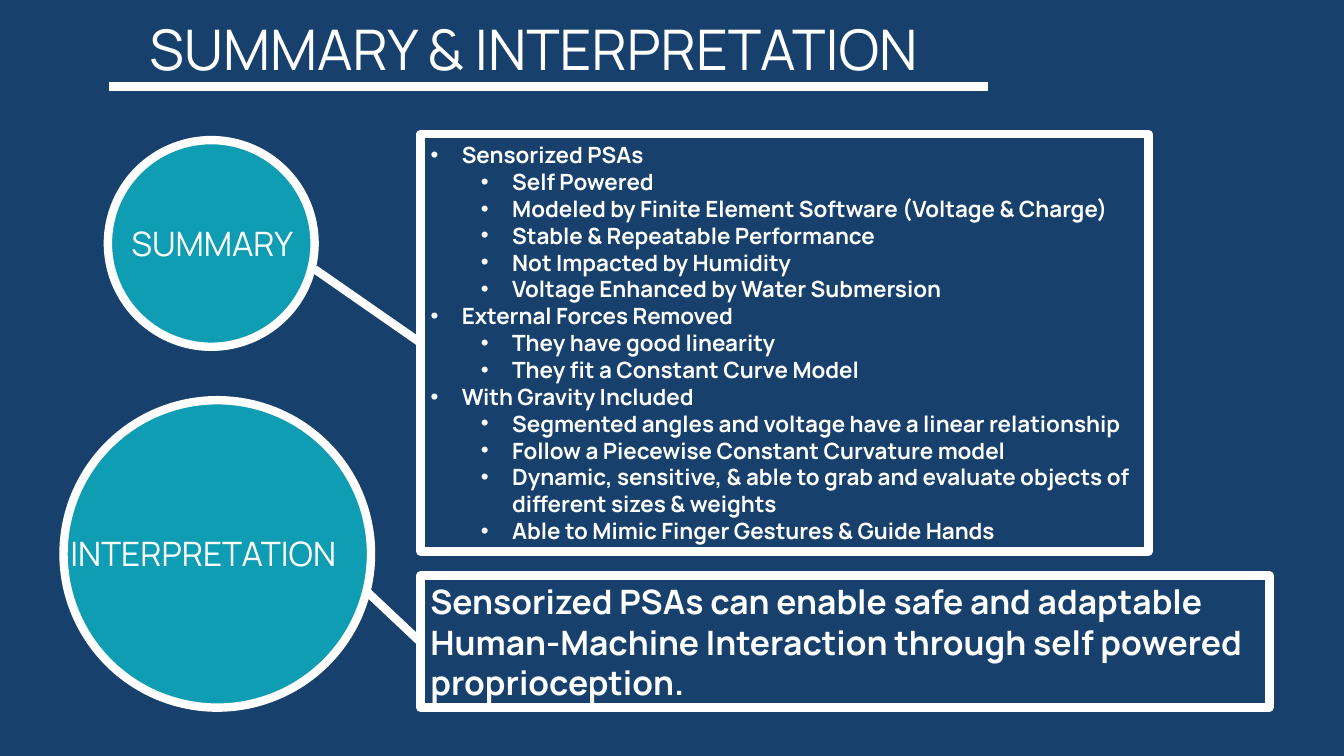
from lxml import etree
from pptx import Presentation
from pptx.dml.color import RGBColor
from pptx.enum import shapes, text
from pptx.oxml import ns
from pptx.util import Inches, Pt

NAVY = RGBColor(0x17, 0x40, 0x6D)
AQUA = RGBColor(0x0B, 0xD0, 0xD9)
WHITE = RGBColor(0xFF, 0xFF, 0xFF)
FONT = "Manrope"
LEFT, CENTER = text.PP_ALIGN.LEFT, text.PP_ALIGN.CENTER

TITLE = "SUMMARY & INTERPRETATION"
SUMMARY = [
    ("Sensorized PSAs", [
        "Self Powered",
        "Modeled by Finite Element Software (Voltage & Charge)",
        "Stable & Repeatable Performance",
        "Not Impacted by Humidity",
        "Voltage Enhanced by Water Submersion",
    ]),
    ("External Forces Removed", [
        "They have good linearity",
        "They fit a Constant Curve Model",
    ]),
    ("With Gravity Included", [
        "Segmented angles and voltage have a linear relationship",
        "Follow a Piecewise Constant Curvature model",
        "Dynamic, sensitive, & able to grab and evaluate objects of "
        "different sizes & weights",
        "Able to Mimic Finger Gestures & Guide Hands",
    ]),
]
INTERPRETATION = ("Sensorized PSAs can enable safe and adaptable Human-Machine "
                  "Interaction through self powered proprioception.")

TITLE_BOX = (0.97, 0.09, 8.64, 0.77)
SUMMARY_BOX = (4.17, 1.33, 7.22, 4.14)
INTERPRETATION_BOX = (4.17, 5.71, 8.42, 1.31)
CIRCLES = [
    ("SUMMARY", (1.07, 1.39, 2.05, 2.05), (1.08, 2.16, 2.05, 0.5), CENTER),
    ("INTERPRETATION", (0.63, 3.97, 3.05, 3.05), (0.6, 5.24, 3.13, 0.5), LEFT),
]
LINES = [
    (9.8, 0.86, 1.08, 0.86),
    (4.17, 3.4, 3.12, 2.67),
    (4.17, 6.37, 3.65, 5.88),
]
BULLET_INDENT = 0.31
LEVEL_STEP = 0.5


def inches(values):
    return [Inches(v) for v in values]


def place(sp, box):
    sp.left, sp.top, sp.width, sp.height = inches(box)


def outline(sp):
    sp.line.color.rgb = WHITE
    sp.line.width = Pt(6)


def setup_frame(tf, anchor=text.MSO_ANCHOR.MIDDLE):
    tf.word_wrap = True
    tf.auto_size = text.MSO_AUTO_SIZE.NONE
    tf.vertical_anchor = anchor


def write(p, content, size=24, bold=False, align=LEFT, bullet_level=None):
    p.alignment = align
    p.space_before = Pt(0)
    if bullet_level is not None:
        p.level = bullet_level
        pPr = p._p.get_or_add_pPr()
        pPr.set("marL", str(Inches(BULLET_INDENT + LEVEL_STEP * bullet_level)))
        pPr.set("indent", str(-Inches(BULLET_INDENT)))
        etree.SubElement(pPr, ns.qn("a:buFont")).set("typeface", "Arial")
        etree.SubElement(pPr, ns.qn("a:buChar")).set("char", "•")
    r = p.add_run()
    r.text = content
    r.font.name = FONT
    r.font.size = Pt(size)
    r.font.bold = bold
    r.font.color.rgb = WHITE


def add_title(s):
    sp = s.shapes.title
    place(sp, TITLE_BOX)
    setup_frame(sp.text_frame)
    write(sp.text_frame.paragraphs[0], TITLE, size=40, align=CENTER)


def add_summary(s):
    sp = s.placeholders[1]
    place(sp, SUMMARY_BOX)
    outline(sp)
    tf = sp.text_frame
    setup_frame(tf)
    items = []
    for heading, points in SUMMARY:
        items += [(heading, 0)] + [(point, 1) for point in points]
    for i, (item, level) in enumerate(items):
        p = tf.add_paragraph() if i else tf.paragraphs[0]
        write(p, item, size=16, bold=True, bullet_level=level)


def add_interpretation(s):
    sp = s.shapes.add_shape(shapes.MSO_SHAPE.RECTANGLE, *inches(INTERPRETATION_BOX))
    sp.shadow.inherit = False
    sp.fill.background()
    outline(sp)
    setup_frame(sp.text_frame)
    write(sp.text_frame.paragraphs[0], INTERPRETATION, bold=True)


def add_circle(s, label, circle, label_box, align):
    group = s.shapes.add_group_shape()
    sp = group.shapes.add_shape(shapes.MSO_SHAPE.OVAL, *inches(circle))
    sp.shadow.inherit = False
    sp.fill.solid()
    sp.fill.fore_color.rgb = AQUA
    color = sp._element.spPr.find(ns.qn("a:solidFill"))[0]
    etree.SubElement(color, ns.qn("a:alpha")).set("val", "65000")
    outline(sp)
    tf = group.shapes.add_textbox(*inches(label_box)).text_frame
    setup_frame(tf, text.MSO_ANCHOR.TOP)
    write(tf.paragraphs[0], label, align=align)


def add_line(s, ends):
    line = s.shapes.add_connector(shapes.MSO_CONNECTOR.STRAIGHT, *inches(ends))
    outline(line)
    etree.SubElement(line._element.spPr, ns.qn("a:effectLst"))


def main():
    prs = Presentation()
    prs.slide_width, prs.slide_height = Inches(13.33), Inches(7.5)
    s = prs.slides.add_slide(prs.slide_layouts[1])
    s.background.fill.solid()
    s.background.fill.fore_color.rgb = NAVY
    add_title(s)
    for circle in CIRCLES:
        add_circle(s, *circle)
    for ends in LINES:
        add_line(s, ends)
    add_summary(s)
    add_interpretation(s)
    prs.save("out.pptx")


if __name__ == "__main__":
    main()
